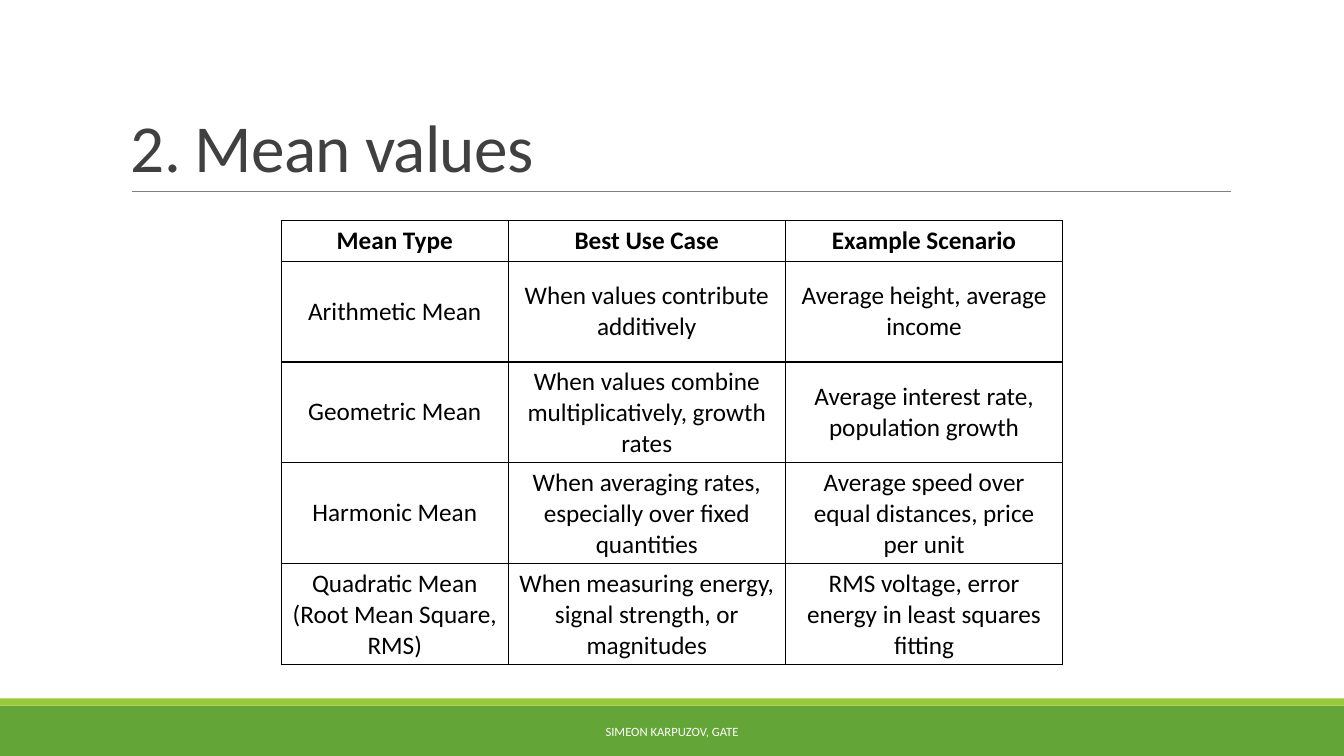
from lxml import etree
from pptx import Presentation, util as u
from pptx.dml.color import RGBColor
from pptx.enum import shapes, text
from pptx.oxml import ns

COLORS = {"band": "63A537", "stripe": "99CB38", "rule": "808080",
          "title": "404040", "ink": "000000", "paper": "FFFFFF"}
FONT = "Calibri"
COLUMN_WIDTHS = [2.25, 2.75, 2.75]
ROW_HEIGHTS = [0.4, 1, 1, 1, 1]
MEANS = [
    ("Mean Type", "Best Use Case", "Example Scenario"),
    ("Arithmetic Mean", "When values contribute additively", "Average height, average income"),
    ("Geometric Mean", "When values combine multiplicatively, growth rates",
     "Average interest rate, population growth"),
    ("Harmonic Mean", "When averaging rates, especially over fixed quantities",
     "Average speed over equal distances, price per unit"),
    ("Quadratic Mean (Root Mean Square, RMS)",
     "When measuring energy, signal strength, or magnitudes",
     "RMS voltage, error energy in least squares fitting"),
]


def color(name):
    """Return the named colour."""
    return RGBColor.from_string(COLORS[name])


def inches(*lengths):
    """Convert several lengths to inches."""
    return [u.Inches(length) for length in lengths]


def write(paragraph, words, size, ink, **formats):
    """Write one formatted run into a paragraph."""
    run = paragraph.add_run()
    run.text = words
    run.font.color.rgb = color(ink)
    for name, value in {"name": FONT, "size": u.Pt(size), **formats}.items():
        setattr(run.font, name, value)
    return run


def add_text(slide, box, anchor, alignment):
    """Add a wrapping text box and return its first paragraph."""
    frame = slide.shapes.add_textbox(*inches(*box)).text_frame
    frame.word_wrap = True
    frame.vertical_anchor = anchor
    paragraph = frame.paragraphs[0]
    paragraph.alignment = alignment
    return paragraph


def add_title(slide, left, top, width, height):
    """Place the title with a rule along the bottom of its box."""
    paragraph = add_text(slide, (left, top, width, height),
                         text.MSO_ANCHOR.BOTTOM, text.PP_ALIGN.LEFT)
    paragraph.line_spacing = 0.85
    run = write(paragraph, "2. Mean values", 48, "title")
    run.font._element.set("spc", "-50")
    bottom = top + height
    rule = slide.shapes.add_connector(
        shapes.MSO_CONNECTOR.STRAIGHT,
        *inches(left + 0.11, bottom, left + width + 0.01, bottom))
    rule.line.color.rgb = color("rule")
    rule.line.width = u.Pt(0.5)
    etree.SubElement(rule._element.spPr, ns.qn("a:effectLst"))


def add_borders(cell):
    """Draw a thin line on every side of a cell."""
    properties = cell._tc.get_or_add_tcPr()
    for side in ("lnL", "lnR", "lnT", "lnB"):
        line = etree.SubElement(properties, ns.qn("a:" + side), w=str(u.Pt(1)))
        fill = etree.SubElement(line, ns.qn("a:solidFill"))
        etree.SubElement(fill, ns.qn("a:srgbClr"), val=COLORS["ink"])


def add_means_table(slide, left, top):
    """Place the table of mean types."""
    box = inches(left, top, sum(COLUMN_WIDTHS), sum(ROW_HEIGHTS))
    table = slide.shapes.add_table(len(MEANS), len(COLUMN_WIDTHS), *box).table
    table.horz_banding = False
    for column, width in zip(table.columns, COLUMN_WIDTHS):
        column.width = u.Inches(width)
    for index, (row, height) in enumerate(zip(table.rows, ROW_HEIGHTS)):
        row.height = u.Inches(height)
        for cell, words in zip(row.cells, MEANS[index]):
            add_borders(cell)
            cell.fill.background()
            cell.vertical_anchor = text.MSO_ANCHOR.MIDDLE
            paragraph = cell.text_frame.paragraphs[0]
            paragraph.alignment = text.PP_ALIGN.CENTER
            write(paragraph, words, 18, "ink", bold=index == 0)


def add_footer(slide, left, top, width, height):
    """Place the footer band with its stripe on top and centred text."""
    stripe = 0.07
    for fill, y, depth in (("band", top, height), ("stripe", top - stripe, stripe)):
        bar = slide.shapes.add_shape(shapes.MSO_SHAPE.RECTANGLE,
                                     *inches(left, y, width, depth))
        bar.shadow.inherit = False
        bar.fill.solid()
        bar.fill.fore_color.rgb = color(fill)
        bar.line.fill.background()
    text_width = 5.27
    paragraph = add_text(slide, (left + (width - text_width) / 2, top + 0.06, text_width, 0.4),
                         text.MSO_ANCHOR.MIDDLE, text.PP_ALIGN.CENTER)
    write(paragraph, "SIMEON KARPUZOV, GATE", 9, "paper")


def main():
    """Build and save the slide."""
    presentation = Presentation()
    presentation.slide_width, presentation.slide_height = inches(13.33, 7.5)
    slide = presentation.slides.add_slide(presentation.slide_layouts[6])
    slide.background.fill.solid()
    slide.background.fill.fore_color.rgb = color("paper")
    add_footer(slide, 0, 7, 13.33, 0.5)
    add_title(slide, 1.2, 0.31, 11, 1.59)
    add_means_table(slide, 2.79, 2.19)
    presentation.save("out.pptx")


if __name__ == "__main__":
    main()
